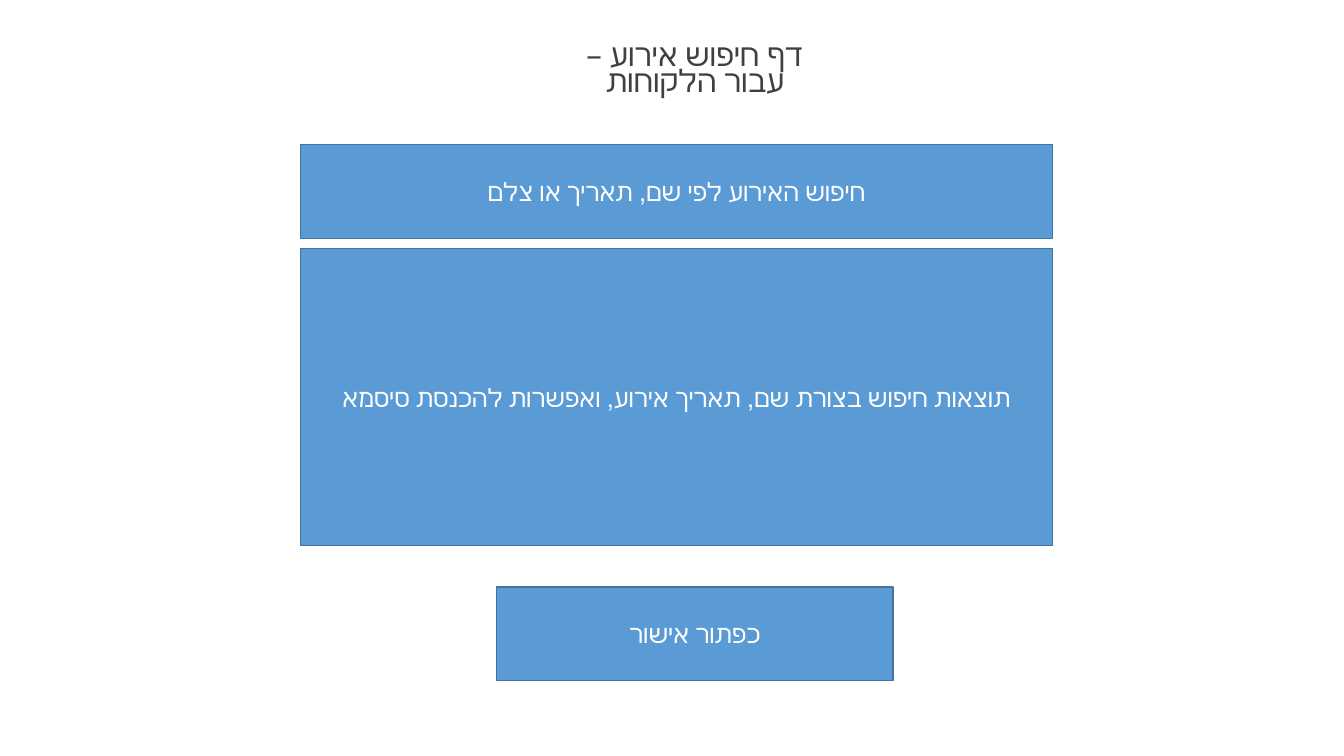
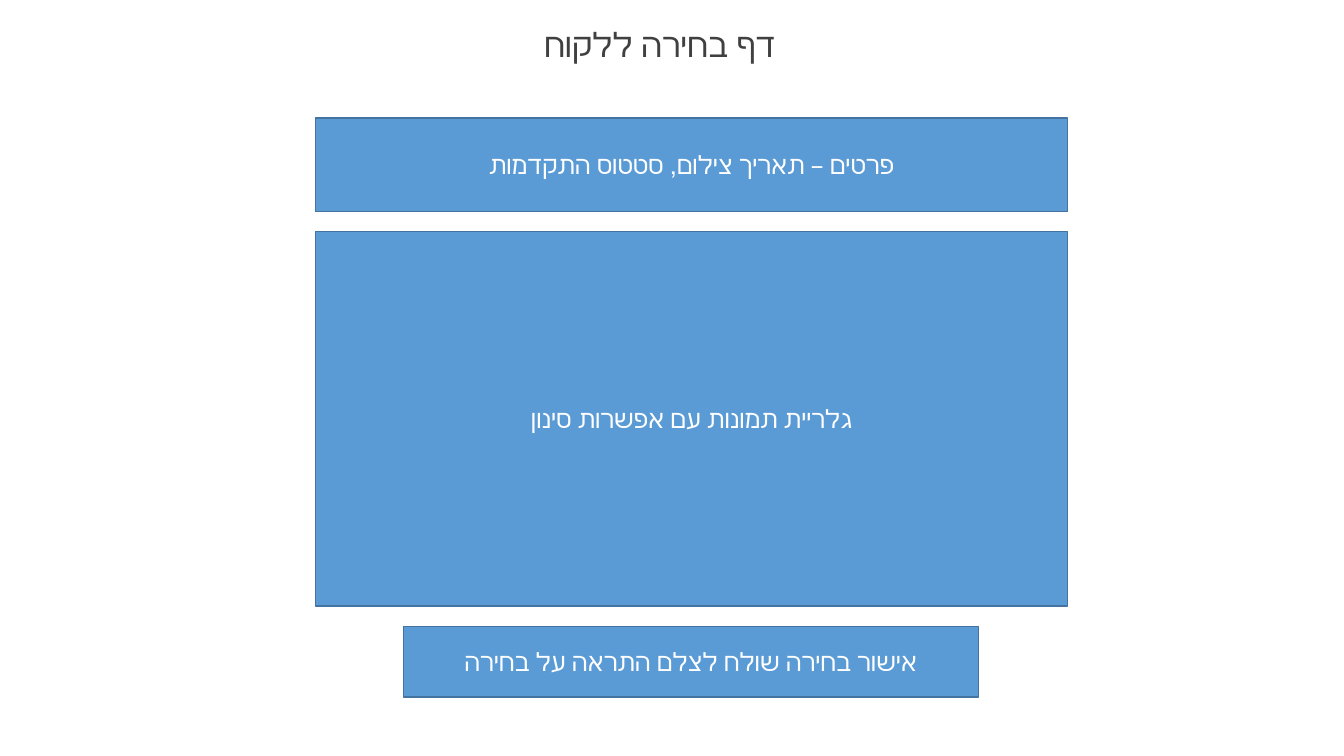
from dataclasses import dataclass

from pptx import Presentation
from pptx.dml.color import RGBColor
from pptx.enum.shapes import MSO_SHAPE
from pptx.enum.text import MSO_ANCHOR, MSO_AUTO_SIZE, PP_ALIGN
from pptx.util import Pt

RECT = MSO_SHAPE.RECTANGLE
TOP, MIDDLE = MSO_ANCHOR.TOP, MSO_ANCHOR.MIDDLE
NO_FIT = MSO_AUTO_SIZE.NONE
CENTER = PP_ALIGN.CENTER

FONT = "Calibri"
COLORS = {"fill": "5B9BD5", "line": "43739E", "white": "FFFFFF", "title": "404040"}
WIDE = 537.2
TITLE_W, TITLE_H = 211, 44.6
FRAME = {"word_wrap": True, "auto_size": NO_FIT}


@dataclass(frozen=True)
class Title:
    text: str
    left: float
    top: float
    size: float
    spacing: float


@dataclass(frozen=True)
class Box:
    text: str
    left: float
    top: float
    width: float
    height: float


@dataclass(frozen=True)
class Page:
    title: Title
    boxes: tuple[Box, ...]


PAGES = (
    Page(
        Title("דף חיפוש אירוע – עבור הלקוחות", 391, 28.8, 22.2, 0.7),
        (
            Box("חיפוש האירוע לפי שם, תאריך או צלם", 214.6, 103.2, WIDE, 67),
            Box("תוצאות חיפוש בצורת שם, תאריך אירוע, ואפשרות להכנסת סיסמא",
                214.6, 177.6, WIDE, 212),
            Box("כפתור אישור", 354.8, 419.2, 283, 67),
        ),
    ),
    Page(
        Title("דף בחירה ללקוח", 365.8, 16.6, 24, 0.9),
        (
            Box("פרטים – תאריך צילום, סטטוס התקדמות", 225.4, 84.2, WIDE, 67),
            Box("גלריית תמונות עם אפשרות סינון", 225.4, 165.6, WIDE, 267.2),
            Box("אישור בחירה שולח לצלם התראה על בחירה", 288, 447.6, 411, 50.2),
        ),
    ),
)


def paint(name: str) -> RGBColor:
    return RGBColor.from_string(COLORS[name])


def apply(item, values: dict) -> None:
    for name, value in values.items():
        setattr(item, name, value)


def write(shape, text: str, size: float, color: str, anchor):
    frame = shape.text_frame
    apply(frame, FRAME | {"vertical_anchor": anchor})
    para = frame.paragraphs[0]
    para.alignment = CENTER
    run = para.add_run()
    run.text = text
    apply(run.font, {"name": FONT, "size": Pt(size), "bold": False})
    run.font.color.rgb = paint(color)
    return para


def set_title(slide, title: Title) -> None:
    shape = slide.shapes.title
    apply(shape, {"left": Pt(title.left), "top": Pt(title.top),
                  "width": Pt(TITLE_W), "height": Pt(TITLE_H)})
    para = write(shape, title.text, title.size, "title", TOP)
    apply(para, {"line_spacing": title.spacing, "space_before": Pt(10)})
    para._p.get_or_add_pPr().set("rtl", "1")


def add_box(slide, box: Box) -> None:
    shape = slide.shapes.add_shape(
        RECT, Pt(box.left), Pt(box.top), Pt(box.width), Pt(box.height))
    shape.shadow.inherit = False
    shape.fill.solid()
    shape.fill.fore_color.rgb = paint("fill")
    shape.line.color.rgb = paint("line")
    shape.line.width = Pt(1)
    write(shape, box.text, 18, "white", MIDDLE)


def main() -> None:
    deck = Presentation()
    apply(deck, {"slide_width": Pt(960), "slide_height": Pt(540)})
    for page in PAGES:
        slide = deck.slides.add_slide(deck.slide_layouts[5])
        set_title(slide, page.title)
        for box in page.boxes:
            add_box(slide, box)
    deck.save("out.pptx")


if __name__ == "__main__":
    main()
